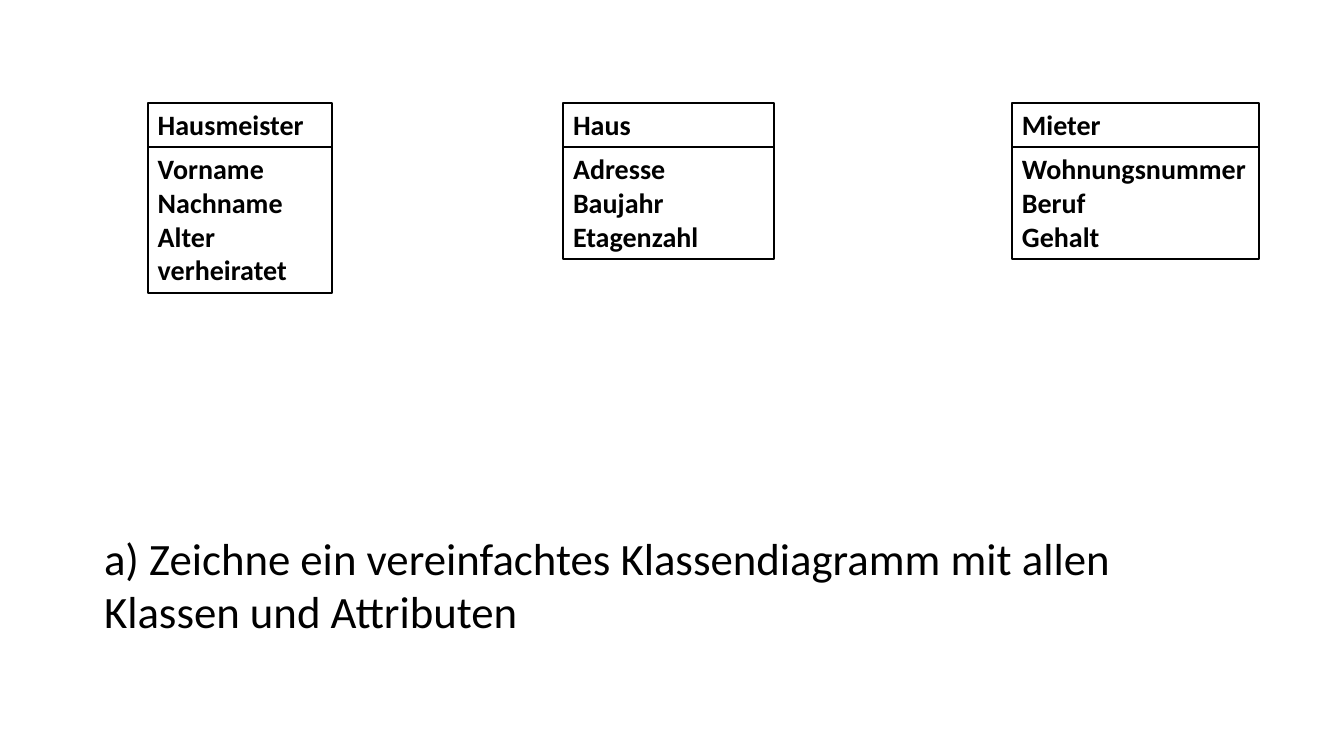
from dataclasses import dataclass

import pptx
import pptx.dml.color
import pptx.enum.shapes
import pptx.enum.text
import pptx.util


@dataclass(frozen=True)
class Theme:
    font: str = "Calibri"
    ink: pptx.dml.color.RGBColor = pptx.dml.color.RGBColor(0, 0, 0)
    class_size: int = 20
    task_size: int = 32
    outline: float = 1.5


@dataclass(frozen=True)
class ClassBox:
    name: str
    attributes: tuple[str, ...]
    left: float
    width: float


THEME = Theme()

# Lengths are percentages of the slide's width or height
CLASS_TOP = 13.6
LINE_HEIGHT = 4.5
PADDING = 1.33

CLASSES = (
    ClassBox("Hausmeister", ("Vorname", "Nachname", "Alter", "verheiratet"), 11, 13.7),
    ClassBox("Haus", ("Adresse ", "Baujahr", "Etagenzahl"), 41.9, 15.7),
    ClassBox("Mieter", ("Wohnungsnummer", "Beruf", "Gehalt"), 75.3, 18.4),
)
TASK = "a) Zeichne ein vereinfachtes Klassendiagramm mit allen Klassen und Attributen"

presentation = pptx.Presentation()
presentation.slide_width = pptx.util.Inches(13.33)
presentation.slide_height = pptx.util.Inches(7.5)
slide = presentation.slides.add_slide(presentation.slide_layouts[6])


def place(left: float, top: float, width: float, height: float) -> tuple[int, ...]:
    """Turn percentages of the slide into lengths."""
    across, down = presentation.slide_width / 100, presentation.slide_height / 100
    return round(left * across), round(top * down), round(width * across), round(height * down)


def write(shape, lines: tuple[str, ...], *, size: int, bold: bool = False) -> None:
    """Fill a shape with one left-aligned paragraph per line."""
    frame = shape.text_frame
    frame.word_wrap = True
    frame.auto_size = pptx.enum.text.MSO_AUTO_SIZE.SHAPE_TO_FIT_TEXT
    frame.vertical_anchor = pptx.enum.text.MSO_ANCHOR.TOP
    frame.text = "\n".join(lines)
    for paragraph in frame.paragraphs:
        paragraph.alignment = pptx.enum.text.PP_ALIGN.LEFT
        font = paragraph.runs[0].font
        font.name, font.size, font.bold = THEME.font, pptx.util.Pt(size), bold
        font.color.rgb = THEME.ink


def compartment_height(lines: tuple[str, ...]) -> float:
    return PADDING + LINE_HEIGHT * len(lines)


def draw_class(box: ClassBox) -> None:
    """Stack the name compartment on the attribute compartment."""
    top = CLASS_TOP
    for lines in ((box.name,), box.attributes):
        height = compartment_height(lines)
        shape = slide.shapes.add_shape(
            pptx.enum.shapes.MSO_SHAPE.RECTANGLE, *place(box.left, top, box.width, height)
        )
        shape.shadow.inherit = False
        shape.fill.background()
        shape.line.color.rgb = THEME.ink
        shape.line.width = pptx.util.Pt(THEME.outline)
        write(shape, lines, size=THEME.class_size, bold=True)
        top += height


# Class diagram
for class_box in CLASSES:
    draw_class(class_box)

# Task
task = slide.shapes.add_textbox(*place(7, 69.5, 85.6, 15.7))
write(task, (TASK,), size=THEME.task_size)

presentation.save("out.pptx")
